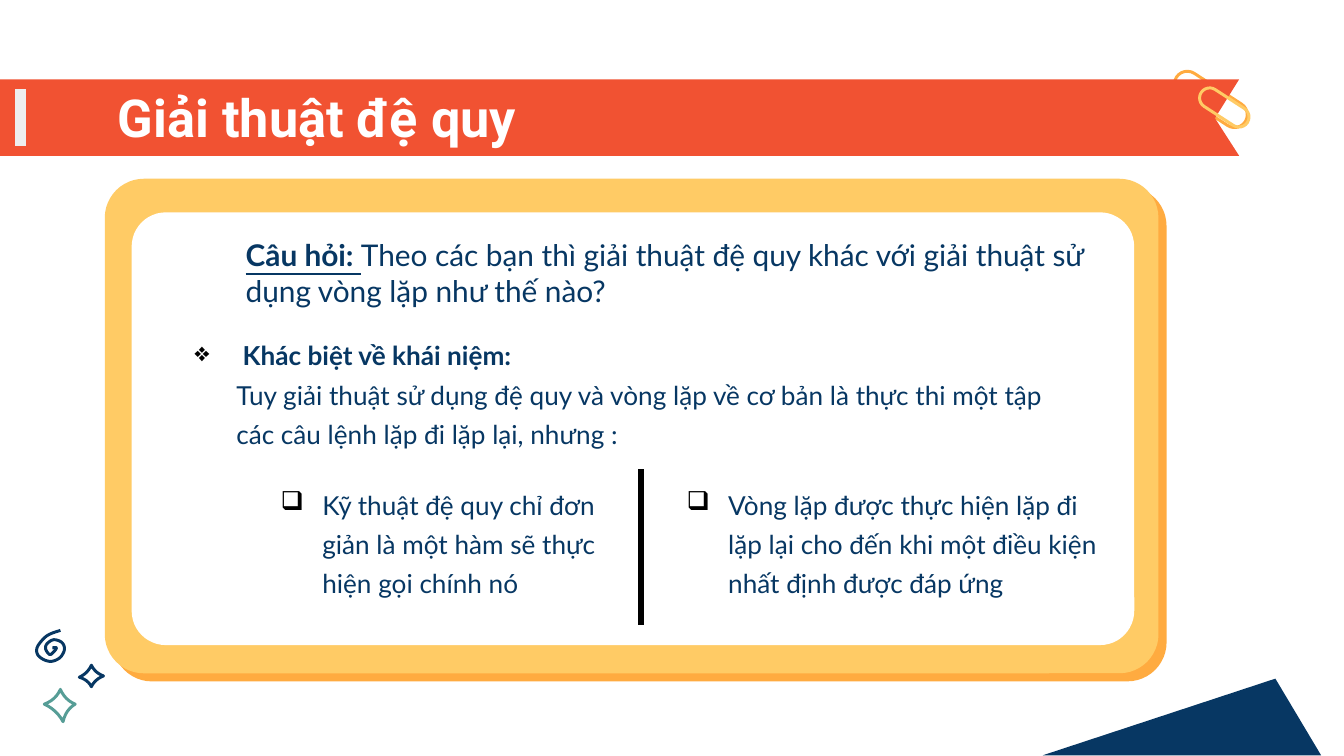
from dataclasses import dataclass

from lxml import etree
from pptx import Presentation
from pptx.dml.color import RGBColor
from pptx.enum.shapes import MSO_CONNECTOR, MSO_SHAPE
from pptx.enum.text import MSO_ANCHOR
from pptx.oxml.ns import qn
from pptx.util import Inches, Pt

ROUNDED = MSO_SHAPE.ROUNDED_RECTANGLE
STRAIGHT = MSO_CONNECTOR.STRAIGHT
TOP, MIDDLE = MSO_ANCHOR.TOP, MSO_ANCHOR.MIDDLE


@dataclass(frozen=True)
class Theme:
    navy: str = "073763"
    red: str = "F15232"
    orange: str = "FFAB40"
    yellow: str = "FFCB65"
    teal: str = "569D96"
    grey: str = "EEEEEE"
    white: str = "FFFFFF"
    black: str = "000000"
    heading_font: str = "Roboto"
    body_font: str = "Lato"
    title_size: int = 28
    question_size: int = 16
    body_size: int = 14
    leading: int = 21
    indent: float = 0.31
    corner: float = 0.079
    stroke: float = 1.6


class SlideBuilder:
    def __init__(self, page, theme):
        self.page = page
        self.theme = theme

    def paint(self, shape, fill=None, line=None):
        shape.shadow.inherit = False
        if fill:
            shape.fill.solid()
            shape.fill.fore_color.rgb = RGBColor.from_string(fill)
        else:
            shape.fill.background()
        if line:
            shape.line.color.rgb = RGBColor.from_string(line)
            shape.line.width = Pt(self.theme.stroke)
        else:
            shape.line.fill.background()

    def rounded(self, left, top, width, height, corner, fill=None, line=None, turn=0):
        shape = self.page.shapes.add_shape(
            ROUNDED, Inches(left), Inches(top), Inches(width), Inches(height))
        shape.adjustments[0] = corner
        shape.rotation = turn
        self.paint(shape, fill, line)

    def clip(self, center_x, center_y, length, width, color):
        self.rounded(center_x - length / 2, center_y - width / 2,
                     length, width, 0.5, line=color, turn=33)

    def outline(self, points, fill=None, line=None, close=True):
        corners = [(Inches(x), Inches(y)) for x, y in points]
        builder = self.page.shapes.build_freeform(*corners[0], scale=1.0)
        builder.add_line_segments(corners[1:], close=close)
        self.paint(builder.convert_to_shape(), fill, line)

    def star(self, tips, color, steps=6):
        middle = [sum(axis) / len(tips) for axis in zip(*tips)]
        points = []
        for start, end in zip(tips, tips[1:] + tips[:1]):
            pull = [0.3 * (a + b) + 0.4 * m for a, b, m in zip(start, end, middle)]
            for step in range(steps):
                t = step / steps
                points.append([(1 - t) ** 2 * a + 2 * t * (1 - t) * p + t * t * b
                               for a, p, b in zip(start, pull, end)])
        self.outline(points, line=color)

    def spiral(self, knots, color, steps=5):
        padded = knots[:1] + knots + knots[-1:]
        points = []
        for before, start, end, after in zip(padded, padded[1:], padded[2:], padded[3:]):
            for step in range(steps):
                t = step / steps
                points.append([
                    b + 0.5 * t * (c - a + t * (2 * a - 5 * b + 4 * c - d
                                                + t * (3 * (b - c) + d - a)))
                    for a, b, c, d in zip(before, start, end, after)])
        self.outline(points + knots[-1:], line=color, close=False)

    def text_box(self, left, top, width, height, anchor=TOP):
        box = self.page.shapes.add_textbox(
            Inches(left), Inches(top), Inches(width), Inches(height))
        frame = box.text_frame
        frame.word_wrap = True
        frame.vertical_anchor = anchor
        frame.margin_left = frame.margin_right = Inches(0.1)
        frame.margin_top = frame.margin_bottom = Inches(0.1)
        return frame

    def style(self, para, size, color, font, bold=False):
        para.font.size = Pt(size)
        para.font.name = font
        para.font.bold = bold
        para.font.color.rgb = RGBColor.from_string(color)

    def body(self, para, text, indent, bullet=None, bold=False):
        para.text = text
        para.line_spacing = Pt(self.theme.leading)
        properties = para._p.get_or_add_pPr()
        properties.set("marL", str(Inches(indent)))
        if bullet:
            properties.set("indent", str(-Inches(self.theme.indent)))
            tint = etree.SubElement(properties, qn("a:buClr"))
            etree.SubElement(tint, qn("a:srgbClr"), val=self.theme.black)
            etree.SubElement(properties, qn("a:buChar"), char=bullet)
        self.style(para, self.theme.body_size, self.theme.navy, self.theme.body_font, bold)

    def divider(self, x, top, bottom):
        line = self.page.shapes.add_connector(
            STRAIGHT, Inches(x), Inches(top), Inches(x), Inches(bottom))
        line.line.color.rgb = RGBColor.from_string(self.theme.black)
        line.line.width = Pt(3)
        etree.SubElement(line._element.spPr, qn("a:effectLst"))


def main():
    theme = Theme()
    deck = Presentation()
    deck.slide_width, deck.slide_height = Inches(10), Inches(5.625)
    slide = SlideBuilder(deck.slides.add_slide(deck.slide_layouts[6]), theme)

    slide.clip(9.01, 0.74, 0.61, 0.19, theme.orange)
    slide.outline([(0, 0.59), (0, 1.16), (9.22, 1.16), (9.04, 0.88), (9.22, 0.59)],
                  fill=theme.red)
    slide.outline([(0.11, 0.66), (0.11, 1.09), (0.19, 1.09), (0.19, 0.66)],
                  fill=theme.grey)
    slide.clip(9.11, 0.8, 0.41, 0.15, theme.yellow)
    slide.outline([(9.49, 5.05), (7.76, 5.62), (9.83, 5.62)], fill=theme.navy)

    slide.spiral([(0.45, 4.69), (0.35, 4.73), (0.28, 4.81), (0.28, 4.87), (0.33, 4.91),
                  (0.39, 4.92), (0.45, 4.89), (0.48, 4.83), (0.46, 4.78), (0.4, 4.76),
                  (0.35, 4.79), (0.34, 4.83), (0.37, 4.87), (0.4, 4.85), (0.42, 4.82),
                  (0.39, 4.82)], theme.navy)
    slide.star([(0.45, 5.13), (0.56, 5.24), (0.47, 5.37), (0.33, 5.24)], theme.teal)
    slide.star([(0.68, 4.95), (0.77, 5.03), (0.68, 5.11), (0.59, 5.04)], theme.navy)

    for left, top, width, height, color in [
        (0.84, 1.39, 7.84, 3.68, theme.orange),
        (0.78, 1.33, 7.84, 3.68, theme.yellow),
        (0.98, 1.58, 7.46, 3.22, theme.white),
    ]:
        slide.rounded(left, top, width, height, theme.corner, fill=color)

    title = slide.text_box(0.78, 0.61, 8.44, 0.52, MIDDLE).paragraphs[0]
    title.text = "Giải thuật đệ quy"
    slide.style(title, theme.title_size, theme.white, theme.heading_font, bold=True)

    question = slide.text_box(1.73, 1.66, 6.52, 0.6).paragraphs[0]
    slide.style(question, theme.question_size, theme.navy, theme.body_font)
    label = question.add_run()
    label.text = "Câu hỏi: "
    label.font.bold = label.font.underline = True
    question.add_run().text = ("Theo các bạn thì giải thuật đệ quy khác với giải thuật sử "
                               "dụng vòng lặp như thế nào?")

    concept = slide.text_box(1.35, 2.37, 6.69, 2.12)
    slide.body(concept.paragraphs[0], " Khác biệt về khái niệm:", theme.indent, "❖", bold=True)
    slide.body(concept.add_paragraph(),
               "Tuy giải thuật sử dụng đệ quy và vòng lặp về cơ bản là thực thi một tập "
               "các câu lệnh lặp đi lặp lại, nhưng :", theme.indent)

    for left, width, text in [
        (1.68, 3.13, "Kỹ thuật đệ quy chỉ đơn giản là một hàm sẽ thực hiện gọi chính nó"),
        (4.7, 3.6, "Vòng lặp được thực hiện lặp đi lặp lại cho đến khi một điều kiện "
                   "nhất định được đáp ứng"),
    ]:
        column = slide.text_box(left, 3.48, width, 1.17)
        slide.body(column.paragraphs[0], text, 2 * theme.indent, "❑")
    slide.divider(4.77, 3.49, 4.65)

    deck.save("out.pptx")


if __name__ == "__main__":
    main()
